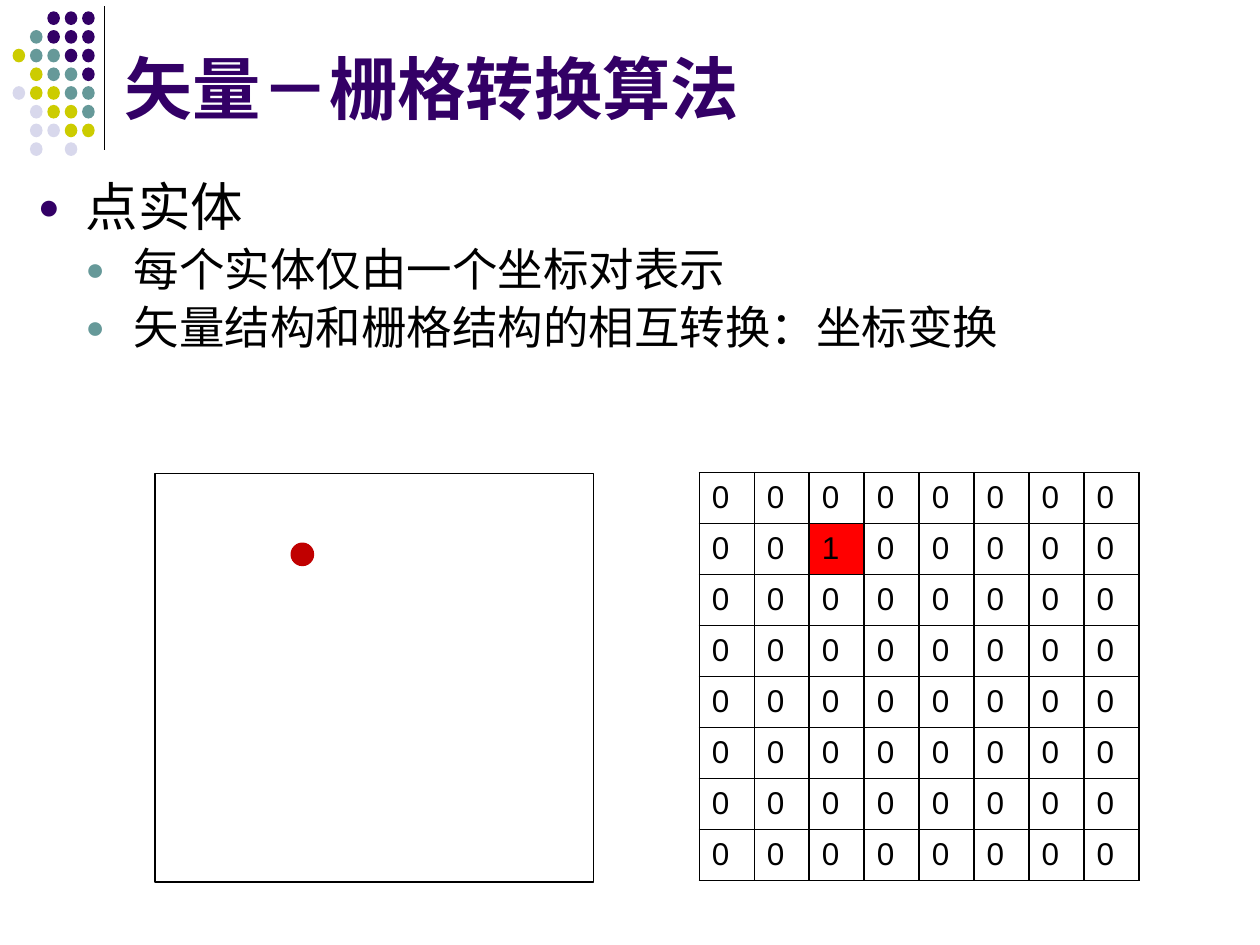
from dataclasses import dataclass

from lxml import etree
from pptx import Presentation
from pptx.dml.color import RGBColor
from pptx.enum.shapes import MSO_CONNECTOR, MSO_SHAPE
from pptx.enum.text import MSO_ANCHOR, MSO_AUTO_SIZE, PP_ALIGN
from pptx.oxml import parse_xml
from pptx.oxml.ns import nsdecls, qn
from pptx.util import Inches, Pt

LINE, OVAL, RECT = MSO_CONNECTOR.STRAIGHT, MSO_SHAPE.OVAL, MSO_SHAPE.RECTANGLE
BOTTOM, MIDDLE, TOP = MSO_ANCHOR.BOTTOM, MSO_ANCHOR.MIDDLE, MSO_ANCHOR.TOP
LEFT, NO_FIT = PP_ALIGN.LEFT, MSO_AUTO_SIZE.NONE


@dataclass(frozen=True)
class Theme:
    font: str = "Arial"
    title_size: int = 39
    body_sizes: tuple = (30, 26)
    cell_size: int = 18
    ink: str = "000000"
    purple: str = "330066"
    teal: str = "669999"
    olive: str = "CCCC00"
    pale: str = "D8D8EC"
    point: str = "C00000"
    hit: str = "FF0000"


theme = Theme()
prs = Presentation()
prs.slide_width, prs.slide_height = Inches(10), Inches(7.5)
s = prs.slides.add_slide(prs.slide_layouts[1])


def box(x, y, w, h):
    """Turn percentages of the slide's width and height into lengths."""
    return [int(prs.slide_width * x / 100), int(prs.slide_height * y / 100),
            int(prs.slide_width * w / 100), int(prs.slide_height * h / 100)]


def add_run(p, text, size, color=theme.ink, bold=False):
    r = p.add_run()
    r.text = text
    r.font.name, r.font.size, r.font.bold = theme.font, Pt(size), bold
    r.font.color.rgb = RGBColor.from_string(color)


# Corner ornament: one letter per dot, a full stop where there is none
dot_colors = {"p": theme.purple, "t": theme.teal, "o": theme.olive, "l": theme.pale}
dot_rows = ["..ppp", ".tppp", "ottpp", ".ottp", "loott", ".loot", ".lloo", ".l.l."]
for row, letters in enumerate(dot_rows):
    for col, letter in enumerate(letters):
        if letter in dot_colors:
            sp = s.shapes.add_shape(OVAL, *box(1 + 1.38 * col, 1.2 + 1.98 * row, 1, 1.45))
            sp.shadow.inherit = False
            sp.fill.solid()
            sp.fill.fore_color.rgb = RGBColor.from_string(dot_colors[letter])
            sp.line.fill.background()

x, y, w, h = box(8.3, 0.67, 0, 15.2)
rule = s.shapes.add_connector(LINE, x, y, x + w, y + h)
rule.line.color.rgb = RGBColor.from_string(theme.ink)
rule.line.width = Pt(0.75)
etree.SubElement(rule._element.spPr, qn("a:effectLst"))

# Title and list
title, body = s.shapes.title, s.placeholders[1]
title.left, title.top, title.width, title.height = box(8.9, 1.73, 84.4, 12.53)
tf = title.text_frame
tf.word_wrap, tf.auto_size, tf.vertical_anchor = True, NO_FIT, BOTTOM
p = tf.paragraphs[0]
p.alignment = LEFT
add_run(p, "矢量－栅格转换算法", theme.title_size, theme.purple, True)

body.left, body.top, body.width, body.height = box(2, 18.53, 96.1, 78.8)
tf = body.text_frame
tf.word_wrap, tf.auto_size, tf.vertical_anchor = True, NO_FIT, TOP
bullet_colors = (theme.purple, theme.teal)
items = [(0, "点实体"), (1, "每个实体仅由一个坐标对表示"),
         (1, "矢量结构和栅格结构的相互转换：坐标变换")]
indent = Inches(0.38)
for i, (level, text) in enumerate(items):
    p = tf.add_paragraph() if i else tf.paragraphs[0]
    p.level, p.line_spacing = level, 0.9
    add_run(p, text, theme.body_sizes[level])
    pPr = p._p.get_or_add_pPr()
    pPr.set("marL", str(indent * (level + 1)))
    pPr.set("indent", str(-indent))
    for xml in (f'<a:buClr {nsdecls("a")}><a:srgbClr val="{bullet_colors[level]}"/></a:buClr>',
                f'<a:buSzPct {nsdecls("a")} val="70000"/>',
                f'<a:buFont {nsdecls("a")} typeface="{theme.font}"/>',
                f'<a:buChar {nsdecls("a")} char="●"/>'):
        pPr.append(parse_xml(xml))

# Raster grid with the point's cell marked
size, hit_cell = 8, (1, 2)
frame = s.shapes.add_table(size, size, *box(55.5, 50, 34.9, 43.2))
table = frame.table
table.first_row = table.horz_banding = False
for row in range(size):
    for col in range(size):
        cell = table.cell(row, col)
        is_hit = (row, col) == hit_cell
        cell.vertical_anchor = MIDDLE
        add_run(cell.text_frame.paragraphs[0], "1" if is_hit else "0", theme.cell_size)
        if is_hit:
            cell.fill.solid()
            cell.fill.fore_color.rgb = RGBColor.from_string(theme.hit)
        else:
            cell.fill.background()
        tcPr = cell._tc.get_or_add_tcPr()
        for i, side in enumerate("LRTB"):
            tcPr.insert(i, parse_xml(
                f'<a:ln{side} {nsdecls("a")} w="{Pt(1)}"><a:solidFill>'
                f'<a:srgbClr val="{theme.ink}"/></a:solidFill></a:ln{side}>'))

# Vector view: the same point in a plain frame
vector_view = [(RECT, box(12.3, 50.13, 34.8, 43.2), None, theme.ink, 0.75),
               (OVAL, box(23.2, 57.6, 1.6, 2.13), theme.point, theme.point, 2)]
for kind, place, fill, line, width in vector_view:
    sp = s.shapes.add_shape(kind, *place)
    sp.shadow.inherit = False
    if fill:
        sp.fill.solid()
        sp.fill.fore_color.rgb = RGBColor.from_string(fill)
    else:
        sp.fill.background()
    sp.line.color.rgb = RGBColor.from_string(line)
    sp.line.width = Pt(width)

prs.save("out.pptx")
